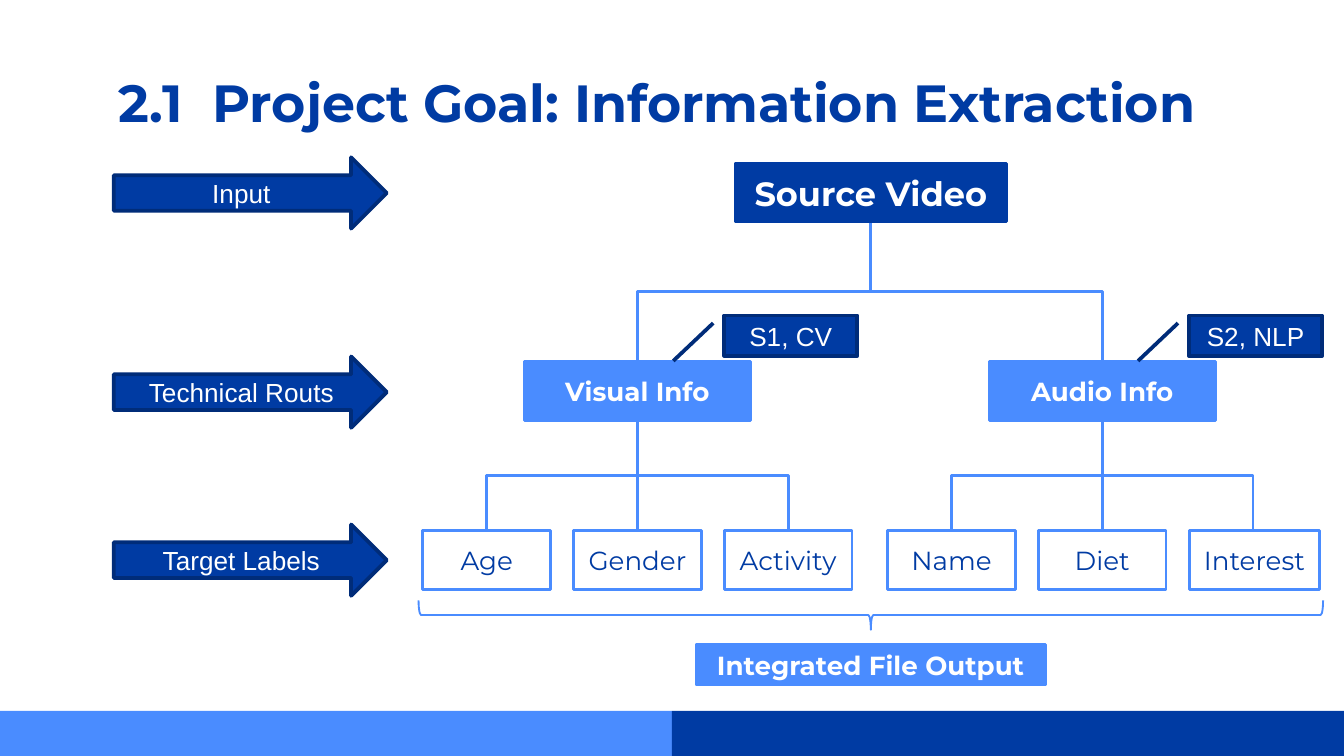
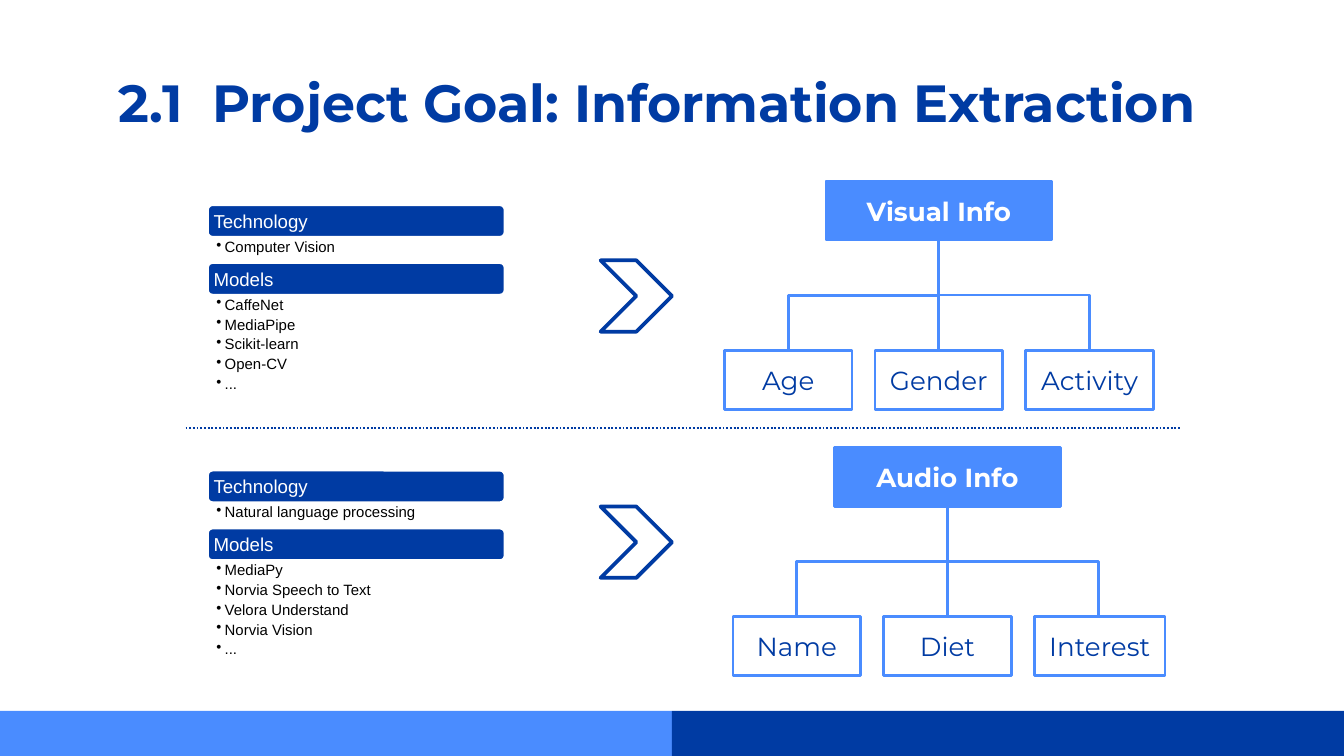
import pptx
import pptx.util
import pptx.dml.color
import pptx.enum.dml
import pptx.enum.shapes
import pptx.enum.text
import pptx.oxml.ns
import lxml.etree

Pt = pptx.util.Pt
SHAPE = pptx.enum.shapes.MSO_SHAPE
CONNECTOR = pptx.enum.shapes.MSO_CONNECTOR
ALIGN = pptx.enum.text.PP_ALIGN
ANCHOR = pptx.enum.text.MSO_ANCHOR

# Content
TITLE = "2.1  Project Goal: Information Extraction"
SOURCE = "Source Video"
OUTPUT = "Integrated File Output"
ROWS = [("Input", 84.3), ("Technical Routs", 191), ("Target Labels", 281)]
BRANCHES = [
    {
        "name": "Visual Info",
        "labels": ["Age", "Gender", "Activity"],
        "callout": "S1, CV",
        "lists": [
            ("Technology", ["Computer Vision"]),
            ("Models", ["CaffeNet", "MediaPipe", "Scikit-learn", "Open-CV", "..."]),
        ],
        "overview": (341.5, 193.8),
        "detail": (503, 97),
        "lists_top": 109.4,
        "chevron_top": 139.5,
    },
    {
        "name": "Audio Info",
        "labels": ["Name", "Diet", "Interest"],
        "callout": "S2, NLP",
        "lists": [
            ("Technology", ["Natural language processing"]),
            ("Models", ["MediaPy", "Norvia Speech to Text", "Velora Understand",
                        "Norvia Vision", "..."]),
        ],
        "overview": (590.5, 193.8),
        "detail": (507.6, 239.7),
        "lists_top": 251.6,
        "chevron_top": 271.4,
    },
]

# Shared look
COLORS = {"navy": "003BA3", "edge": "002C79", "sky": "4A8CFF",
          "white": "FFFFFF", "black": "000000"}
FONTS = {
    "title": {"name": "Montserrat", "size": Pt(28), "bold": True},
    "source": {"name": "Montserrat", "size": Pt(18), "bold": True},
    "node": {"name": "Montserrat", "size": Pt(14), "bold": True},
    "label": {"name": "Montserrat", "size": Pt(14), "bold": False},
    "marker": {"name": "Arial", "size": Pt(14), "bold": False},
    "heading": {"name": "Arial", "size": Pt(10), "bold": False},
    "item": {"name": "Arial", "size": Pt(8), "bold": False},
}
WIDTH, HEIGHT = 720, 405
BAND_TOP = 380.9
CENTER = 466.5
NODE_WIDTH, NODE_HEIGHT = 121, 31.6
LABEL_WIDTH, LABEL_PITCH, LABEL_DROP = 68.4, 80.75, 90.6
LIST_LEFT, LIST_WIDTH, HEADING_HEIGHT = 110.9, 160, 18


def color(name):
    return pptx.dml.color.RGBColor.from_string(COLORS[name])


def apply(target, values):
    for name, value in values.items():
        setattr(target, name, value)


def set_insets(frame, left, top, right, bottom):
    apply(frame, {"margin_left": Pt(left), "margin_top": Pt(top),
                  "margin_right": Pt(right), "margin_bottom": Pt(bottom)})


def write(paragraph, text, font, ink, align=ALIGN.CENTER):
    paragraph.alignment = align
    run = paragraph.add_run()
    run.text = text
    apply(run.font, FONTS[font])
    run.font.color.rgb = color(ink)


def add_shape(slide, kind, box, fill=None, line=None, weight=1.5):
    shape = slide.shapes.add_shape(kind, *map(Pt, box))
    shape.shadow.inherit = False
    if fill:
        shape.fill.solid()
        shape.fill.fore_color.rgb = color(fill)
    else:
        shape.fill.background()
    if line:
        shape.line.color.rgb = color(line)
        shape.line.width = Pt(weight)
    else:
        shape.line.fill.background()
    return shape


def add_box(slide, box, text, font, fill=None, line="sky", ink="white"):
    shape = add_shape(slide, SHAPE.RECTANGLE, box, fill, line)
    set_insets(shape.text_frame, 7.2, 7.2, 7.2, 7.2)
    shape.text_frame.vertical_anchor = ANCHOR.MIDDLE
    write(shape.text_frame.paragraphs[0], text, font, ink)
    return shape


def add_marker(slide, kind, box, text):
    shape = add_shape(slide, kind, box, "navy", "edge", 2)
    shape.text_frame.vertical_anchor = ANCHOR.MIDDLE
    write(shape.text_frame.paragraphs[0], text, "marker", "white")


def add_line(slide, kind, start, end, ink="sky", weight=1.5):
    connector = slide.shapes.add_connector(kind, *map(Pt, (*start, *end)))
    connector.line.color.rgb = color(ink)
    connector.line.width = Pt(weight)
    lxml.etree.SubElement(connector._element.spPr, pptx.oxml.ns.qn("a:effectLst"))
    return connector


def add_elbow(slide, parent, child):
    """Down, across and down: a horizontal elbow turned by 270 degrees."""
    run, drop = abs(child[0] - parent[0]), child[1] - parent[1]
    middle_x, middle_y = (parent[0] + child[0]) / 2, (parent[1] + child[1]) / 2
    ends = [middle_x - drop / 2, middle_x + drop / 2]
    if child[0] > parent[0]:
        ends.reverse()
    connector = add_line(slide, CONNECTOR.ELBOW, (ends[0], middle_y - run / 2),
                         (ends[1], middle_y + run / 2))
    connector._element.spPr.find(pptx.oxml.ns.qn("a:xfrm")).set("rot", str(270 * 60000))


def add_tree(slide, branch, center, top):
    label_top = top + LABEL_DROP
    for side in (-1, 1):
        add_elbow(slide, (center, top + NODE_HEIGHT),
                  (center + side * LABEL_PITCH, label_top))
    node = add_box(slide, (center - NODE_WIDTH / 2, top, NODE_WIDTH, NODE_HEIGHT),
                   branch["name"], "node", "sky")
    boxes = []
    for index, label in enumerate(branch["labels"]):
        left = center + (index - 1) * LABEL_PITCH - LABEL_WIDTH / 2
        width = 70 if label == "Interest" else LABEL_WIDTH
        boxes.append(add_box(slide, (left, label_top, width, NODE_HEIGHT),
                             label, "label", ink="navy"))
    stem = add_line(slide, CONNECTOR.STRAIGHT, (center, top + NODE_HEIGHT),
                    (center, label_top))
    stem.begin_connect(node, 2)
    stem.end_connect(boxes[1], 0)


def add_bullet(paragraph):
    properties = paragraph._p.get_or_add_pPr()
    properties.set("marL", str(Pt(4.5)))
    properties.set("indent", str(-Pt(4.5)))
    bullet = lxml.etree.SubElement(properties, pptx.oxml.ns.qn("a:buChar"))
    bullet.set("char", "•")


def add_lists(slide, lists, top):
    for heading, items in lists:
        bar = add_shape(slide, SHAPE.ROUNDED_RECTANGLE,
                        (LIST_LEFT, top, LIST_WIDTH, HEADING_HEIGHT), "navy", "white", 2)
        set_insets(bar.text_frame, 2.7, 0, 2.7, 0)
        bar.text_frame.vertical_anchor = ANCHOR.MIDDLE
        write(bar.text_frame.paragraphs[0], heading, "heading", "white", ALIGN.LEFT)
        top += HEADING_HEIGHT

        height = 3.75 + 9.25 * len(items)
        box = slide.shapes.add_textbox(*map(Pt, (LIST_LEFT, top, LIST_WIDTH, height)))
        frame = box.text_frame
        frame.word_wrap = True
        set_insets(frame, 5, 0.9, 5.8, 0.9)
        for index, item in enumerate(items):
            paragraph = frame.add_paragraph() if index else frame.paragraphs[0]
            write(paragraph, item, "item", "black", ALIGN.LEFT)
            apply(paragraph, {"line_spacing": 0.9, "space_after": Pt(2)})
            add_bullet(paragraph)
        top += height


def add_base(presentation):
    """New slide with the two footer bands and the title."""
    slide = presentation.slides.add_slide(presentation.slide_layouts[6])
    for index, fill in enumerate(("sky", "navy")):
        add_shape(slide, SHAPE.RECTANGLE,
                  (index * WIDTH / 2, BAND_TOP, WIDTH / 2, HEIGHT - BAND_TOP), fill)
    title = slide.shapes.add_textbox(*map(Pt, (56.2, 30.2, 607, 45.4)))
    title.text_frame.word_wrap = True
    set_insets(title.text_frame, 7.2, 7.2, 7.2, 7.2)
    write(title.text_frame.paragraphs[0], TITLE, "title", "navy", ALIGN.LEFT)
    return slide


def build_overview(presentation):
    slide = add_base(presentation)
    # Source and its two branches
    for branch in BRANCHES:
        add_elbow(slide, (CENTER, 118.8), branch["overview"])
    add_box(slide, (CENTER - 72.7, 87.6, 145.4, 31.2), SOURCE, "source", "navy", "navy")
    for branch in BRANCHES:
        center, top = branch["overview"]
        add_tree(slide, branch, center, top)
        add_marker(slide, SHAPE.LINE_CALLOUT_1,
                   (center + 46.5, top - 24.7, 71.3, 21.6), branch["callout"])
    # Row names
    for text, top in ROWS:
        add_marker(slide, SHAPE.RIGHT_ARROW, (61, top, 146.2, 38.2), text)
    # Brace and output
    brace = add_shape(slide, SHAPE.RIGHT_BRACE, (CENTER - 7.9, 87.2, 15.8, 484.6),
                      "white", "sky", 1)
    brace.rotation = 90
    add_box(slide, (CENTER - 93.6, 345.2, 187.2, 21.8), OUTPUT, "node", "sky")


def build_detail(presentation):
    slide = add_base(presentation)
    for branch in BRANCHES:
        add_tree(slide, branch, *branch["detail"])
        add_lists(slide, branch["lists"], branch["lists_top"])
        add_shape(slide, SHAPE.CHEVRON, (321.8, branch["chevron_top"], 38.2, 38.2),
                  "white", "navy", 2)
    divider = add_line(slide, CONNECTOR.STRAIGHT, (99.4, 229.5), (632.2, 229.5), "navy", 1)
    divider.line.dash_style = pptx.enum.dml.MSO_LINE.ROUND_DOT


def main():
    presentation = pptx.Presentation()
    presentation.slide_width, presentation.slide_height = Pt(WIDTH), Pt(HEIGHT)
    build_overview(presentation)
    build_detail(presentation)
    presentation.save("out.pptx")


if __name__ == "__main__":
    main()
